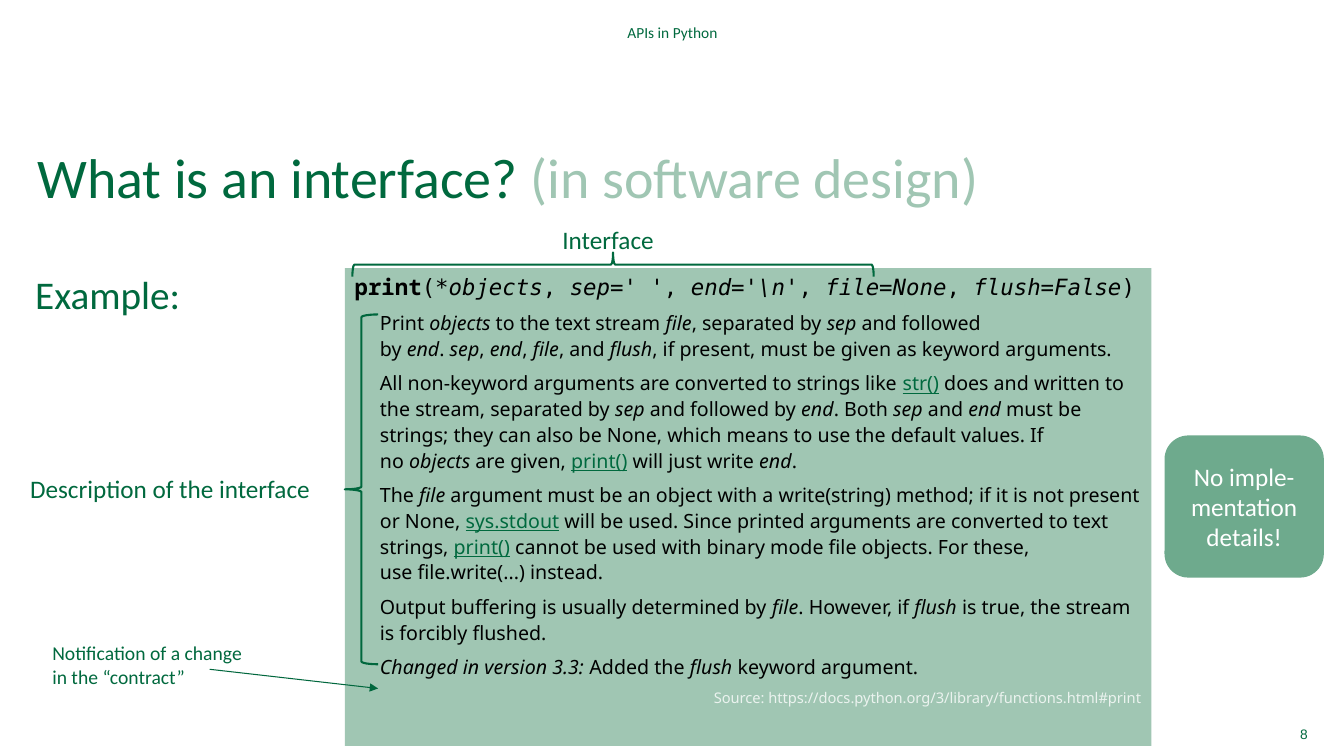
from pptx import Presentation, util as u
from pptx.dml.color import RGBColor
from pptx.enum import shapes as kinds, text as t
from pptx.oxml.ns import qn
from lxml import etree

PX = 9144
COLORS = {"green": "00693E", "brace": "00673D", "pale": "A0C6B3", "mid": "6EAA8D",
          "mist": "EBF3EF", "black": "000000", "white": "FFFFFF"}
SIGNATURE = r"(~*objects~,·~sep='·'~,·~end='\n'~,·~file=None~,·~flush=False~)"
DESCRIPTION = [
    "Print·~objects~·to the text stream·~file~, separated by·~sep~·and followed by·~end~.·"
    "~sep~,·~end~,·~file~, and·~flush~, if present, must be given as keyword arguments.",
    "All non-keyword arguments are converted to strings like·^str()^·does and written to the "
    "stream, separated by·~sep~·and followed by·~end~. Both·~sep~·and·~end~·must be strings; "
    "they can also be·None, which means to use the default values. If no·~objects~·are given,·"
    "^print()^·will just write·~end~.",
    "The·~file~·argument must be an object with a·write(string)·method; if it is not present "
    "or·None,·^sys.stdout^·will be used. Since printed arguments are converted to text "
    "strings,·^print()^·cannot be used with binary mode file objects. For these, "
    "use·file.write(...)·instead.",
    "Output buffering is usually determined by·~file~. However, if·~flush~·is true, "
    "the stream is forcibly flushed.",
    "~Changed in version 3.3:·~Added the·~flush~·keyword argument.",
]
SOURCE = "Source: https://docs.python.org/3/library/functions.html#print"


def rgb(name):
    """Return the named colour."""
    return RGBColor.from_string(COLORS[name])


def emu(*lengths):
    """Turn px lengths into EMU."""
    return [u.Emu(length * PX) for length in lengths]


def style(run, size, color="green", font="Calibri", bold=False, italic=False):
    """Format one run."""
    run.font.size, run.font.name = u.Pt(size), font
    run.font.bold, run.font.italic = bold, italic
    run.font.color.rgb = rgb(color)


def add_marked_runs(paragraph, marked, size, font):
    """Add runs: ~ toggles italics, ^ toggles link looks, · is a non-breaking space."""
    for i, part in enumerate(marked.replace("·", chr(160)).split("~")):
        for j, piece in enumerate(part.split("^")):
            if piece:
                run = paragraph.add_run()
                run.text = piece
                style(run, size, "green" if j % 2 else "black", font, italic=i % 2 == 1)
                run.font.underline = j % 2 == 1


def add_label(shapes, box, label, size, align=t.PP_ALIGN.LEFT, font="Calibri",
              inset=True, wrap=True, anchor=t.MSO_ANCHOR.TOP):
    """Add a text box with one formatted paragraph."""
    frame = shapes.add_textbox(*emu(*box)).text_frame
    frame.word_wrap, frame.vertical_anchor = wrap, anchor
    if not inset:
        clear_insets(frame)
    frame.text = label
    paragraph = frame.paragraphs[0]
    paragraph.alignment = align
    for run in paragraph.runs:
        style(run, size, font=font)
    return paragraph


def clear_insets(frame):
    """Remove all inner margins."""
    frame.margin_left = frame.margin_top = frame.margin_right = frame.margin_bottom = 0


def add_block(shapes, kind, box, fill):
    """Add a filled shape without outline or shadow."""
    shape = shapes.add_shape(kind, *emu(*box))
    shape.shadow.inherit = False
    shape.fill.solid()
    shape.fill.fore_color.rgb = rgb(fill)
    shape.line.fill.background()
    shape.text_frame.word_wrap = True
    return shape


def add_brace(shapes, box, color, rotation=0):
    """Add an outlined left brace."""
    brace = shapes.add_shape(kinds.MSO_SHAPE.LEFT_BRACE, *emu(*box))
    brace.shadow.inherit = False
    brace.fill.background()
    brace.line.color.rgb, brace.line.width = rgb(color), u.Pt(1.5)
    brace.rotation = rotation


def add_title(slide, box):
    """Place and format the two-tone title."""
    title = slide.shapes.title
    title.left, title.top, title.width, title.height = emu(*box)
    frame = title.text_frame
    clear_insets(frame)
    frame.vertical_anchor, frame.auto_size = t.MSO_ANCHOR.TOP, t.MSO_AUTO_SIZE.NONE
    paragraph = frame.paragraphs[0]
    paragraph.alignment, paragraph.line_spacing = t.PP_ALIGN.LEFT, 0.85
    for words, color in (("What is an interface? ", "green"), ("(in software design)", "pale")):
        run = paragraph.add_run()
        run.text = words
        style(run, 40, color)


def add_frame_texts(shapes):
    """Add the running header, the page number and the lead word."""
    middle = t.MSO_ANCHOR.MIDDLE
    add_label(shapes, (261, 20, 812, 24), "APIs in Python", 11, t.PP_ALIGN.CENTER,
              inset=False, anchor=middle)
    add_label(shapes, (1240, 716, 57, 24), "8", 9.8, t.PP_ALIGN.RIGHT, "Arial",
              inset=False, anchor=middle)
    lead = add_label(shapes, (35, 259, 300, 451), "Example:", 28, inset=False)
    lead.line_spacing, lead.space_before, lead.space_after = 1.2, u.Pt(6), u.Pt(6)


def add_documentation(shapes, box):
    """Add the panel with the function signature and its description."""
    frame = add_block(shapes, kinds.MSO_SHAPE.RECTANGLE, box, "pale").text_frame
    frame.vertical_anchor = t.MSO_ANCHOR.TOP
    signature = frame.paragraphs[0]
    signature.alignment, signature.space_after = t.PP_ALIGN.LEFT, u.Pt(6)
    name = signature.add_run()
    name.text = "print"
    style(name, 16, "black", "Noto Sans Mono", bold=True)
    add_marked_runs(signature, SIGNATURE, 16, "DejaVu Sans Mono")
    for marked in DESCRIPTION + [SOURCE]:
        paragraph = frame.add_paragraph()
        paragraph.level, paragraph.line_spacing, paragraph.space_after = 1, 1.1, u.Pt(6)
        paragraph.alignment = t.PP_ALIGN.LEFT
        properties = paragraph._p.get_or_add_pPr()
        properties.set("marL", str(25 * PX))
        properties.set("indent", "0")
        add_marked_runs(paragraph, marked, 14, "Noto Sans")
    paragraph.alignment = t.PP_ALIGN.RIGHT
    style(paragraph.runs[0], 10.5, "mist", "Noto Sans")


def add_interface_mark(shapes, left, top):
    """Add the brace and label above the signature."""
    add_brace(shapes, (left + 246, top - 214, 24, 517), "green", 90)
    add_label(shapes, (left + 198, top, 127, 40), "Interface", 18, wrap=False)


def add_description_mark(shapes, left, top):
    """Add the brace and label beside the description."""
    add_brace(shapes, (left + 322, top, 33, 347), "brace")
    add_label(shapes, (left, top + 153, 355, 40), "Description of the interface", 18)


def add_change_note(shapes, left, top):
    """Add the note about the changed contract and its arrow."""
    add_label(shapes, (left, top, 388, 57), "Notification of a change \vin the “contract”", 14)
    arrow = shapes.add_connector(kinds.MSO_CONNECTOR.STRAIGHT,
                                 *emu(left + 166, top + 33, left + 333, top + 52))
    arrow.line.color.rgb, arrow.line.width = rgb("brace"), u.Pt(0.75)
    etree.SubElement(arrow.line._get_or_add_ln(), qn("a:tailEnd"), type="triangle")
    etree.SubElement(arrow._element.spPr, qn("a:effectLst"))


def add_callout(shapes, box):
    """Add the rounded remark on the right."""
    frame = add_block(shapes, kinds.MSO_SHAPE.ROUNDED_RECTANGLE, box, "mid").text_frame
    frame.vertical_anchor = t.MSO_ANCHOR.MIDDLE
    frame.text = "No imple-mentation details!"
    frame.paragraphs[0].alignment = t.PP_ALIGN.CENTER
    style(frame.paragraphs[0].runs[0], 18, "white")


def main():
    """Build and save the slide."""
    presentation = Presentation()
    presentation.slide_width, presentation.slide_height = emu(1333, 750)
    slide = presentation.slides.add_slide(presentation.slide_layouts[5])
    shapes = slide.shapes
    add_title(slide, (37, 152, 1263, 101))
    add_frame_texts(shapes)
    add_documentation(shapes, (342, 266, 800, 474))
    add_interface_mark(shapes.add_group_shape().shapes, 350, 218)
    add_description_mark(shapes.add_group_shape().shapes, 20, 312)
    add_change_note(shapes.add_group_shape().shapes, 42, 631)
    add_callout(shapes, (1155, 432, 158, 141))
    presentation.save("out.pptx")


if __name__ == "__main__":
    main()
